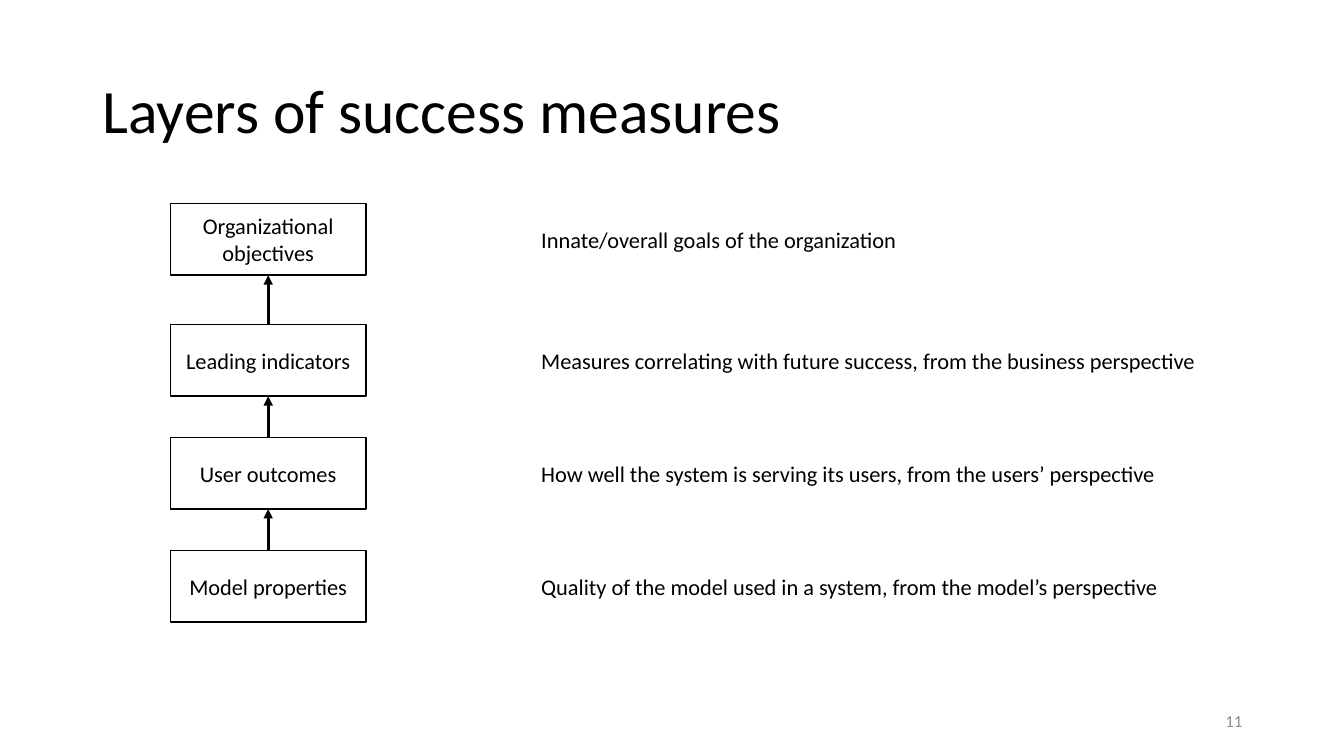
"""Build the slide "Layers of success measures"."""
from dataclasses import dataclass
from itertools import pairwise

from lxml import etree
from pptx import Presentation
from pptx import util as u
from pptx.dml.color import RGBColor
from pptx.enum import shapes, text
from pptx.oxml.ns import qn


@dataclass(frozen=True)
class Theme:
    """Colours, font and type sizes of the slide."""
    ink: RGBColor = RGBColor(0x00, 0x00, 0x00)
    muted: RGBColor = RGBColor(0x8C, 0x8C, 0x8C)
    font: str = "Calibri"
    title_size: int = 44
    body_size: int = 16
    number_size: int = 12
    outline: float = 1
    arrow: float = 2.25


@dataclass(frozen=True)
class Layer:
    """One layer of measures: box label, its meaning and top edge."""
    label: str
    meaning: str
    top: float


THEME = Theme()
BOX_LEFT, BOX_WIDTH, BOX_HEIGHT = 1.69, 1.94, 0.71
MEANING_LEFT, MEANING_WIDTH, MEANING_HEIGHT = 5.27, 7, 0.37
LAYERS = [
    Layer("Organizational objectives", "Innate/overall goals of the organization", 2.02),
    Layer("Leading indicators",
          "Measures correlating with future success, from the business perspective", 3.22),
    Layer("User outcomes",
          "How well the system is serving its users, from the users’ perspective", 4.34),
    Layer("Model properties",
          "Quality of the model used in a system, from the model’s perspective", 5.46),
]


def write(shape, words: str, size: int, color: RGBColor = THEME.ink,
          align=text.PP_ALIGN.LEFT, line_spacing: float = 1.0) -> None:
    """Put one vertically centred paragraph into a shape."""
    frame = shape.text_frame
    frame.word_wrap = True
    frame.vertical_anchor = text.MSO_ANCHOR.MIDDLE
    paragraph = frame.paragraphs[0]
    paragraph.alignment = align
    paragraph.line_spacing = line_spacing
    run = paragraph.add_run()
    run.text = words
    run.font.name = THEME.font
    run.font.size = u.Pt(size)
    run.font.color.rgb = color


def add_text_box(slide, left: float, top: float, width: float, height: float):
    """Add an empty text box, measured in inches."""
    return slide.shapes.add_textbox(
        u.Inches(left), u.Inches(top), u.Inches(width), u.Inches(height))


def add_layer(slide, layer: Layer) -> None:
    """Draw a layer's box and the meaning beside it."""
    box = slide.shapes.add_shape(
        shapes.MSO_SHAPE.RECTANGLE, u.Inches(BOX_LEFT), u.Inches(layer.top),
        u.Inches(BOX_WIDTH), u.Inches(BOX_HEIGHT))
    box.shadow.inherit = False
    box.fill.background()
    box.line.color.rgb = THEME.ink
    box.line.width = u.Pt(THEME.outline)
    write(box, layer.label, THEME.body_size, align=text.PP_ALIGN.CENTER)

    meaning_top = layer.top + (BOX_HEIGHT - MEANING_HEIGHT) / 2
    meaning = add_text_box(slide, MEANING_LEFT, meaning_top, MEANING_WIDTH, MEANING_HEIGHT)
    write(meaning, layer.meaning, THEME.body_size)


def add_arrow(slide, lower: Layer, upper: Layer) -> None:
    """Draw an arrow from the lower layer up to the one above."""
    center = u.Inches(BOX_LEFT + BOX_WIDTH / 2)
    arrow = slide.shapes.add_connector(
        shapes.MSO_CONNECTOR.STRAIGHT, center, u.Inches(lower.top),
        center, u.Inches(upper.top + BOX_HEIGHT))
    arrow.line.color.rgb = THEME.ink
    arrow.line.width = u.Pt(THEME.arrow)
    etree.SubElement(arrow.line._get_or_add_ln(), qn("a:tailEnd"), type="triangle")
    etree.SubElement(arrow._element.spPr, qn("a:effectLst"))


def main() -> None:
    """Build and save the slide."""
    presentation = Presentation()
    presentation.slide_width = u.Inches(13.33)
    presentation.slide_height = u.Inches(7.5)
    slide = presentation.slides.add_slide(presentation.slide_layouts[6])

    title = add_text_box(slide, 0.92, 0.4, 11.5, 1.45)
    write(title, "Layers of success measures", THEME.title_size, line_spacing=0.9)
    for layer in LAYERS:
        add_layer(slide, layer)
    for upper, lower in pairwise(LAYERS):
        add_arrow(slide, lower, upper)
    number = add_text_box(slide, 9.42, 6.95, 3, 0.4)
    write(number, "11", THEME.number_size, THEME.muted, text.PP_ALIGN.RIGHT)

    presentation.save("out.pptx")


main()
